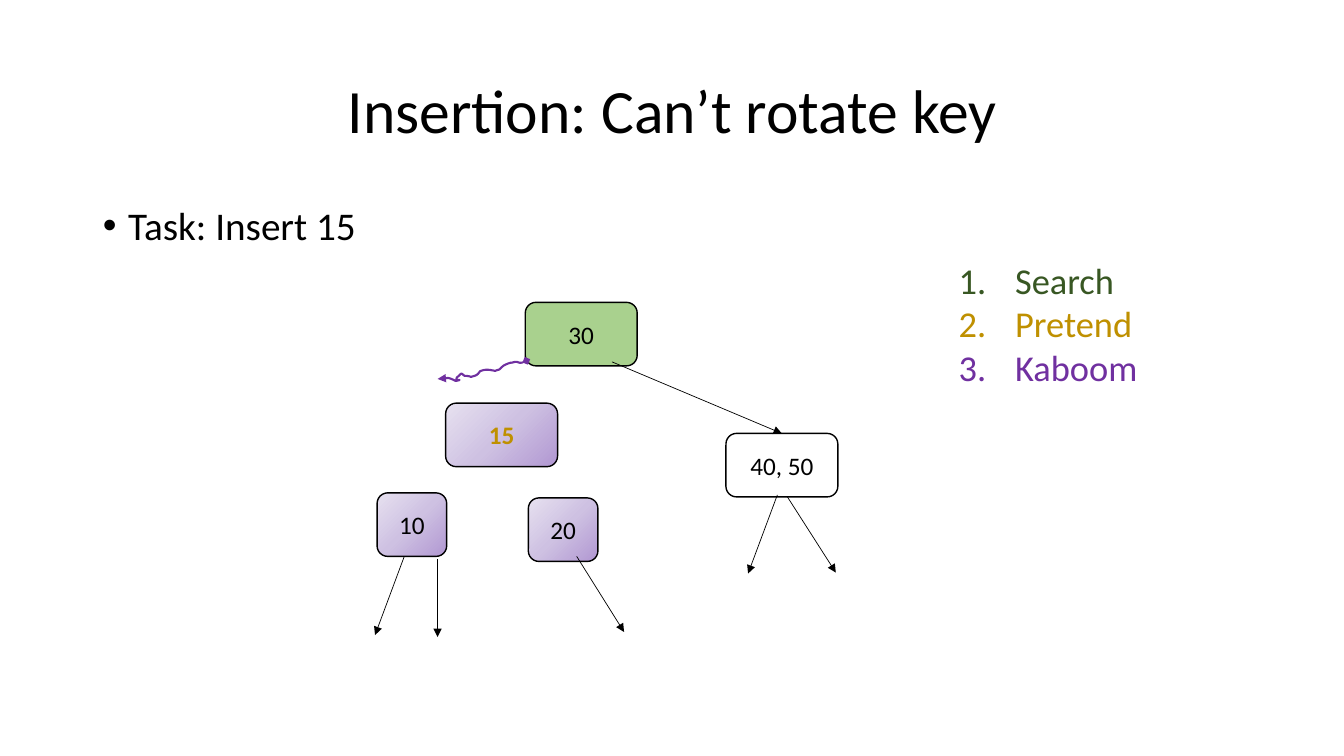
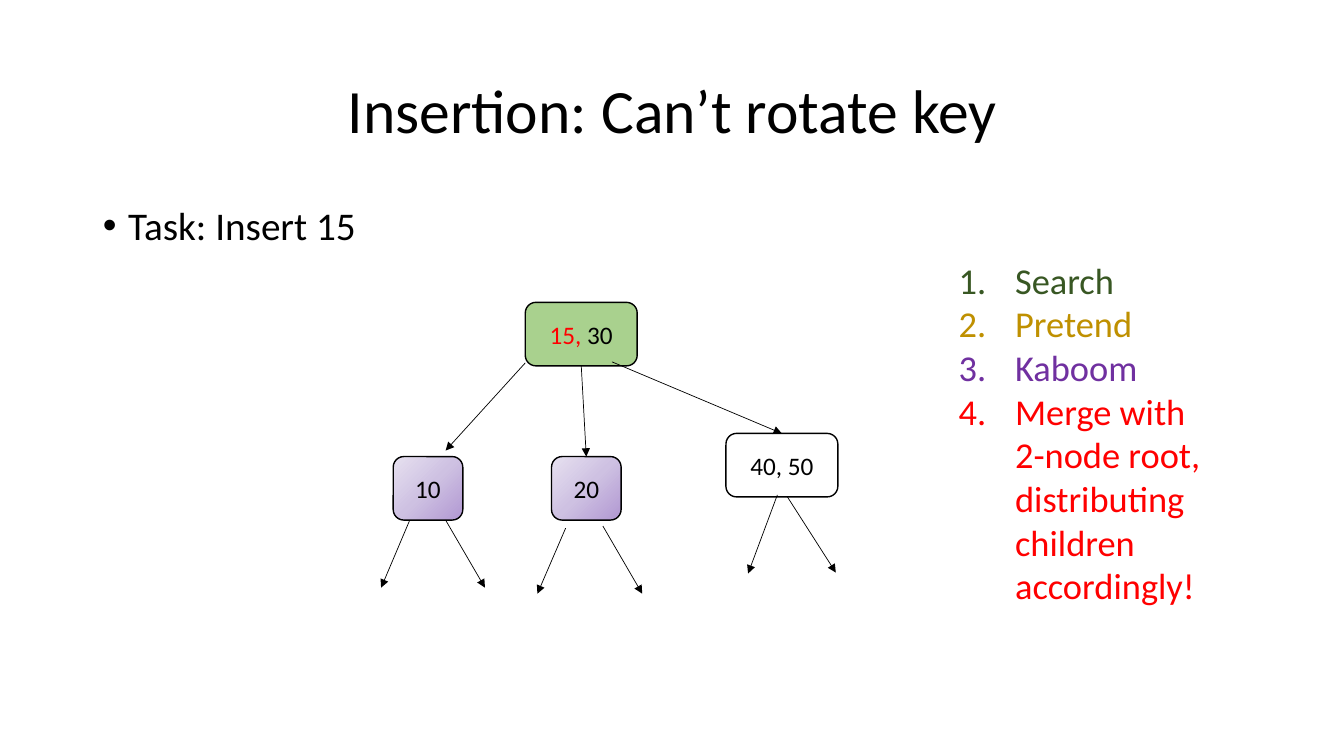
import copy

import lxml.etree
import pptx
import pptx.dml.color
import pptx.enum.shapes
import pptx.enum.text
import pptx.oxml.ns
import pptx.util

Inches, Pt, qn = pptx.util.Inches, pptx.util.Pt, pptx.oxml.ns.qn
RGBColor = pptx.dml.color.RGBColor
BLACK = RGBColor(0x00, 0x00, 0x00)
RED = RGBColor(0xFF, 0x00, 0x00)
GOLD = RGBColor(0xBF, 0x90, 0x00)
PURPLE = RGBColor(0x70, 0x30, 0xA0)
DARK_GREEN = RGBColor(0x38, 0x57, 0x23)
LIGHT_GREEN = RGBColor(0xA9, 0xD1, 0x8E)
LILACS = [RGBColor(0xB1, 0x97, 0xD2), RGBColor(0xCE, 0xC1, 0xE2), RGBColor(0xE7, 0xE1, 0xF0)]
FONT = "Calibri"
WIDE, NARROW, NODE_HEIGHT = 1.11, 0.69, 0.63


def add_run(paragraph, text, size, color, bold=None):
    run = paragraph.add_run()
    run.text = text
    run.font.name, run.font.size, run.font.bold = FONT, Pt(size), bold
    run.font.color.rgb = color


def style_line(line_shape, color, width, **ends):
    line_shape.line.color.rgb = color
    line_shape.line.width = Pt(width)
    for end, arrowhead in ends.items():
        lxml.etree.SubElement(line_shape.get_or_add_ln(), qn("a:" + end), type=arrowhead)


# Nodes: left, top, width, fill, text runs
RIGHT_NODE = (7.2, 4.3, WIDE, None, [("40, 50", BLACK)])
# Arrows: start, end, node joined at its bottom, node joined at its top
SHARED_ARROWS = [
    ((6.07, 3.59), (7.76, 4.3), None, "right"),
    ((7.71, 4.91), (7.42, 5.69), None, None),
    ((7.81, 4.93), (8.29, 5.68), None, None),
]
STEPS = [("Search", DARK_GREEN), ("Pretend", GOLD), ("Kaboom", PURPLE),
         ("Merge with 2-node root, distributing children accordingly!", RED)]
STAGES = [
    {
        "nodes": {
            "root": (5.21, 3, WIDE, LIGHT_GREEN, [("30", BLACK)]),
            "middle": (4.42, 4, WIDE, LILACS, [("15", GOLD)]),
            "ten": (3.74, 4.89, NARROW, LILACS, [("10", BLACK)]),
            "twenty": (5.24, 4.94, NARROW, LILACS, [("20", BLACK)]),
            "right": RIGHT_NODE,
        },
        "arrows": [
            ((4.01, 5.52), (3.72, 6.3), None, None),
            ((4.34, 5.55), (4.34, 6.32), None, None),
            ((5.72, 5.52), (6.19, 6.27), None, None),
        ],
        "step_count": 3, "steps_height": 1.41, "broken_link": True,
    },
    {
        "nodes": {
            "root": (5.21, 3, WIDE, LIGHT_GREEN, [("15,", RED), (" 30", BLACK)]),
            "ten": (3.9, 4.53, NARROW, LILACS, [("10", BLACK)]),
            "twenty": (5.47, 4.53, NARROW, LILACS, [("20", BLACK)]),
            "right": RIGHT_NODE,
        },
        "arrows": [
            ((5.21, 3.6), (4.42, 4.47), None, None),
            ((4.06, 5.17), (3.78, 5.83), None, None),
            ((4.42, 5.16), (4.81, 5.83), None, None),
            ((5.61, 5.24), (5.33, 5.89), None, None),
            ((5.98, 5.22), (6.37, 5.89), None, None),
            ((5.77, 3.63), (5.81, 4.53), "root", "twenty"),
        ],
        "step_count": 4, "steps_height": 3.6, "broken_link": False,
    },
]

# Squiggle of the broken link: start, then two controls and an end per curve
SQUIGGLE_START = (5.22, 3.58)
SQUIGGLE_CURVES = [
    ((5.2, 3.59), (5.18, 3.6), (5.16, 3.6)),
    ((5.15, 3.6), (5.13, 3.59), (5.12, 3.59)),
    ((5.1, 3.59), (5.08, 3.6), (5.06, 3.6)),
    ((5.03, 3.61), (5, 3.62), (4.98, 3.64)),
    ((4.94, 3.68), (4.96, 3.66), (4.91, 3.68)),
    ((4.86, 3.67), (4.82, 3.66), (4.77, 3.68)),
    ((4.76, 3.68), (4.75, 3.7), (4.74, 3.71)),
    ((4.72, 3.73), (4.7, 3.73), (4.67, 3.74)),
    ((4.65, 3.73), (4.63, 3.73), (4.61, 3.73)),
    ((4.59, 3.72), (4.58, 3.7), (4.57, 3.71)),
    ((4.44, 3.81), (4.64, 3.75), (4.52, 3.78)),
    ((4.5, 3.77), (4.46, 3.75), (4.44, 3.75)),
    ((4.33, 3.76), (4.4, 3.78), (4.34, 3.76)),
]
SAMPLES = 6

deck = pptx.Presentation()
deck.slide_width, deck.slide_height = Inches(13.33), Inches(7.5)

# Shared places of title and body
layout = deck.slide_layouts[1]
for area, top, height in zip(layout.placeholders, (0.4, 2), (1.45, 4.76)):
    area.left, area.top = Inches(0.92), Inches(top)
    area.width, area.height = Inches(11.5), Inches(height)

for stage in STAGES:
    slide = deck.slides.add_slide(layout)

    # Title and task
    heading = slide.shapes.title.text_frame.paragraphs[0]
    heading.alignment = pptx.enum.text.PP_ALIGN.CENTER
    heading.line_spacing = 0.9
    add_run(heading, "Insertion: Can’t rotate key", 44, BLACK)
    task = slide.placeholders[1].text_frame.paragraphs[0]
    task.line_spacing, task.space_before = 0.9, Pt(10)
    task_format = task._p.get_or_add_pPr()
    task_format.set("marL", str(Inches(0.25)))
    task_format.set("indent", str(Inches(-0.25)))
    add_run(task, "Task: Insert 15", 28, BLACK)

    # Tree nodes
    nodes = {}
    for key, (left, top, width, fill, label_runs) in stage["nodes"].items():
        node = slide.shapes.add_shape(
            pptx.enum.shapes.MSO_SHAPE.ROUNDED_RECTANGLE,
            Inches(left), Inches(top), Inches(width), Inches(NODE_HEIGHT))
        node.shadow.inherit = False
        style_line(node, BLACK, 1)
        if fill is None:
            node.fill.background()
        elif fill is LILACS:
            node.fill.gradient()
            node.fill.gradient_angle = 135
            stop_list = node._element.spPr.find(".//" + qn("a:gsLst"))
            stop_list.insert(1, copy.deepcopy(stop_list[0]))
            for stop, position, lilac in zip(node.fill.gradient_stops, (0, 0.5, 1), LILACS):
                stop.position = position
                stop.color.rgb = lilac
        else:
            node.fill.solid()
            node.fill.fore_color.rgb = fill
        label = node.text_frame.paragraphs[0]
        label.alignment = pptx.enum.text.PP_ALIGN.CENTER
        for text, color in label_runs:
            add_run(label, text, 18, color, bold=color == GOLD)
        nodes[key] = node

    # Child arrows
    for start, end, parent, child in SHARED_ARROWS + stage["arrows"]:
        arrow = slide.shapes.add_connector(
            pptx.enum.shapes.MSO_CONNECTOR.STRAIGHT, *map(Inches, start + end))
        if parent:
            arrow.begin_connect(nodes[parent], 2)
        if child:
            arrow.end_connect(nodes[child], 0)
        style_line(arrow, BLACK, 0.5, tailEnd="triangle")
        lxml.etree.SubElement(arrow._element.spPr, qn("a:effectLst"))

    # Broken link
    if stage["broken_link"]:
        points, last = [], SQUIGGLE_START
        for first_control, second_control, end in SQUIGGLE_CURVES:
            for step in range(1, SAMPLES + 1):
                t = step / SAMPLES
                points.append(tuple(
                    Inches((1 - t) ** 3 * a + 3 * t * (1 - t) ** 2 * b
                           + 3 * t ** 2 * (1 - t) * c + t ** 3 * d)
                    for a, b, c, d in zip(last, first_control, second_control, end)))
            last = end
        outline = slide.shapes.build_freeform(*map(Inches, SQUIGGLE_START))
        outline.add_line_segments(points, close=False)
        squiggle = outline.convert_to_shape()
        squiggle.shadow.inherit = False
        squiggle.fill.background()
        style_line(squiggle, PURPLE, 1.5, headEnd="diamond", tailEnd="triangle")

    # Numbered steps
    steps = slide.shapes.add_textbox(
        Inches(9.41), Inches(2.51), Inches(2.73), Inches(stage["steps_height"])).text_frame
    steps.word_wrap = True
    steps.auto_size = pptx.enum.text.MSO_AUTO_SIZE.SHAPE_TO_FIT_TEXT
    for index, (text, color) in enumerate(STEPS[:stage["step_count"]]):
        item = steps.add_paragraph() if index else steps.paragraphs[0]
        item_format = item._p.get_or_add_pPr()
        item_format.set("marL", str(Inches(0.56)))
        item_format.set("indent", str(Inches(-0.56)))
        lxml.etree.SubElement(item_format, qn("a:buFont"), typeface="+mj-lt")
        lxml.etree.SubElement(item_format, qn("a:buAutoNum"), type="arabicPeriod")
        add_run(item, text, 26, color)

deck.save("out.pptx")
